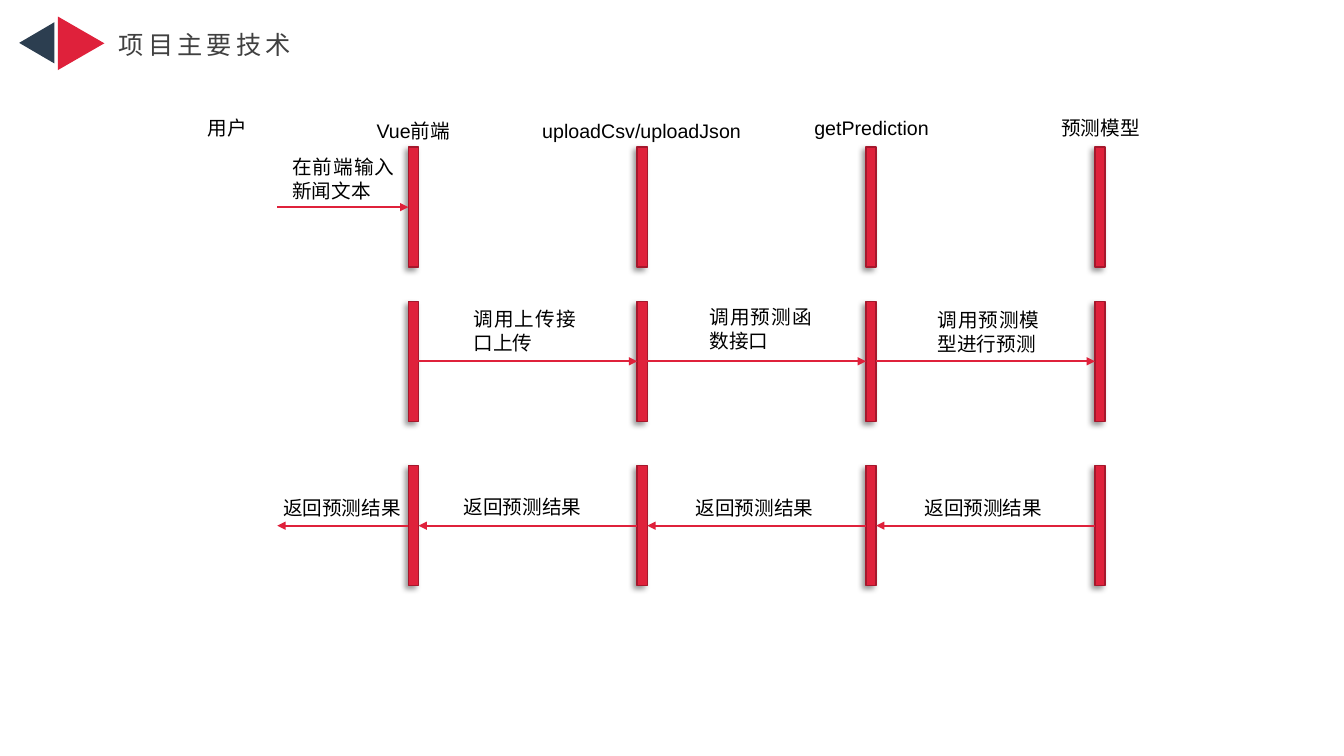
"""Build the call sequence slide: four lifelines, three stages, labelled arrows."""
import pptx
import pptx.util
import pptx.dml.color
import pptx.enum.shapes
import pptx.enum.text
import pptx.oxml
import pptx.oxml.ns

Inches, Pt = pptx.util.Inches, pptx.util.Pt
Shape = pptx.enum.shapes.MSO_SHAPE
Align = pptx.enum.text.PP_ALIGN
qn = pptx.oxml.ns.qn
NS = pptx.oxml.ns.nsdecls("a")
COLORS = {
    name: pptx.dml.color.RGBColor.from_string(code)
    for name, code in {
        "red": "DF213B", "dark_red": "A5182C", "navy": "2C3E50",
        "grey": "404040", "black": "000000",
    }.items()
}
SHADOW = (
    f'<a:outerShdw {NS} blurRad="{Pt(4)}" dist="{Pt(3)}" dir="8100000" algn="tr" rotWithShape="0">'
    '<a:srgbClr val="000000"><a:alpha val="40000"/></a:srgbClr></a:outerShdw>'
)
COLUMN_LEFT, COLUMN_STEP = 4.05, 2.27
BAR_WIDTH, BAR_HEIGHT = 0.1, 1.19
STAGE_TOPS = [1.46, 2.99, 4.62]
USER_X = 2.75
TOP, LEFT, BOTTOM, RIGHT = range(4)

deck = pptx.Presentation()
deck.slide_width, deck.slide_height = Inches(13.33), Inches(7.5)
slide = deck.slides.add_slide(deck.slide_layouts[6])


def add_label(words, box, align, size=14, font="Arial", color="black", wrap=True):
    """Place one line of text in a box given in inches and return its run."""
    frame = slide.shapes.add_textbox(*map(Inches, box)).text_frame
    frame_format = {"word_wrap": wrap, "auto_size": pptx.enum.text.MSO_AUTO_SIZE.SHAPE_TO_FIT_TEXT}
    for key, value in frame_format.items():
        setattr(frame, key, value)
    paragraph = frame.paragraphs[0]
    paragraph.alignment = align
    run = paragraph.add_run()
    run.text = words
    for key, value in {"size": Pt(size), "name": font}.items():
        setattr(run.font, key, value)
    run.font.color.rgb = COLORS[color]
    run.font._element.append(pptx.oxml.parse_xml(f'<a:ea {NS} typeface="{font}"/>'))
    return run


def add_block(kind, box, color):
    """Place a filled preset shape without an outline or a shadow."""
    block = slide.shapes.add_shape(kind, *map(Inches, box))
    block.shadow.inherit = False
    block.fill.solid()
    block.fill.fore_color.rgb = COLORS[color]
    block.line.fill.background()
    return block


for box, turn, color in [
    ((0.16, 0.25, 0.41, 0.35), 270, "navy"),
    ((0.54, 0.2, 0.53, 0.46), 90, "red"),
]:
    add_block(Shape.ISOSCELES_TRIANGLE, box, color).rotation = turn
title = add_label("项目主要技术", (1.08, 0.24, 1.97, 0.4), Align.LEFT,
                  size=18, font="Noto Sans CJK SC", color="grey", wrap=False)
title.font._element.set("spc", "300")

stages = []
for top in STAGE_TOPS:
    lifelines = []
    for column in range(4):
        left = COLUMN_LEFT + column * COLUMN_STEP
        bar = add_block(Shape.RECTANGLE, (left, top, BAR_WIDTH, BAR_HEIGHT), "red")
        bar.line.color.rgb = COLORS["dark_red"]
        bar.line.width = Pt(1)
        effects = bar._element.spPr.find(qn("a:effectLst"))
        effects.append(pptx.oxml.parse_xml(SHADOW))
        lifelines.append(bar)
    stages.append(lifelines)

for role, left, top, width in [
    ("用户", 1.85, 1.1, 0.81),
    ("Vue前端", 3.6, 1.13, 1),
    ("uploadCsv/uploadJson", 5.23, 1.13, 2.27),
    ("getPrediction", 7.97, 1.1, 1.35),
    ("预测模型", 10.24, 1.1, 1.35),
]:
    add_label(role, (left, top, width, 0.34), Align.CENTER)

inputs, calls, returns = stages
messages = [(None, inputs[0])]
messages += zip(calls, calls[1:])
messages += zip(returns[::-1], returns[-2::-1])
messages.append((returns[0], None))
for sender, receiver in messages:
    anchor = sender or receiver
    middle = anchor.top + anchor.height // 2
    arrow = slide.shapes.add_connector(
        pptx.enum.shapes.MSO_CONNECTOR.STRAIGHT, Inches(USER_X), middle, Inches(USER_X), middle)
    backward = anchor in returns
    if sender:
        arrow.begin_connect(sender, LEFT if backward else RIGHT)
    if receiver:
        arrow.end_connect(receiver, RIGHT if backward else LEFT)
    arrow.line.color.rgb = COLORS["red"]
    arrow.line.width = Pt(1.5)
    arrow.line._get_or_add_ln().append(pptx.oxml.parse_xml(f'<a:tailEnd {NS} type="triangle"/>'))
    arrow._element.spPr.append(pptx.oxml.parse_xml(f"<a:effectLst {NS}/>"))

for words, left, top in [
    ("在前端输入新闻文本", 2.8, 1.49),
    ("调用上传接口上传", 4.6, 3),
    ("调用预测函数接口", 6.94, 2.98),
    ("调用预测模型进行预测", 9.2, 3.01),
]:
    add_label(words, (left, top, 1.21, 0.57), Align.JUSTIFY)
for left, top in [(9.07, 4.87), (6.8, 4.87), (4.5, 4.86), (2.71, 4.87)]:
    add_label("返回预测结果", (left, top, 1.4, 0.34), Align.JUSTIFY)

deck.save("out.pptx")
